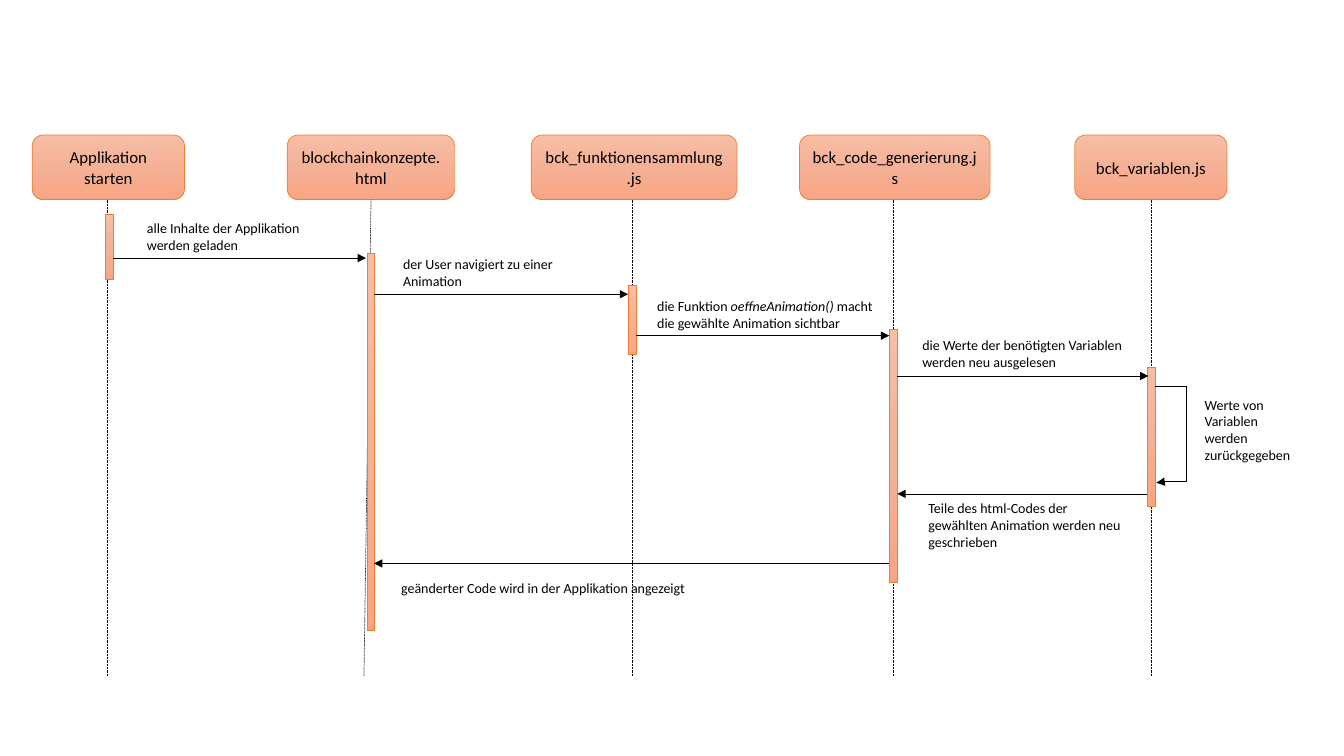
"""Build a sequence diagram slide showing how an animation is opened and updated."""
import copy

import lxml.etree
import pptx
import pptx.dml.color
import pptx.enum.dml
import pptx.enum.shapes
import pptx.enum.text
import pptx.oxml.ns
import pptx.util

PX = 9144
COLORS = {"top": "F7BDA5", "middle": "F5B196", "bottom": "F8A582",
          "border": "ED7D31", "ink": "000000"}
RGB = {name: pptx.dml.color.RGBColor.from_string(value) for name, value in COLORS.items()}
SHAPE = pptx.enum.shapes.MSO_SHAPE
CONNECTOR = pptx.enum.shapes.MSO_CONNECTOR
HEAD_TOP, HEAD_HEIGHT, LIFELINE_END = 134, 64, 671
qn = pptx.oxml.ns.qn

deck = pptx.Presentation()
deck.slide_width, deck.slide_height = 1333 * PX, 750 * PX
page = deck.slides.add_slide(deck.slide_layouts[6])


def add_gradient_box(kind, left, top, width, height):
    box = page.shapes.add_shape(kind, left * PX, top * PX, width * PX, height * PX)
    box.shadow.inherit = False
    box.line.color.rgb = RGB["border"]
    box.line.width = pptx.util.Pt(0.5)
    box.fill.gradient()
    box.fill.gradient_angle = 270
    stop_list = box.fill._xPr.find(qn("a:gradFill")).find(qn("a:gsLst"))
    stop_list.insert(1, copy.deepcopy(stop_list[0]))
    for stop, name, position in zip(box.fill.gradient_stops, ("top", "middle", "bottom"), (0, 0.5, 1)):
        stop.color.rgb = RGB[name]
        stop.position = position
    return box


def add_line(x1, y1, x2, y2, arrow=False, kind=CONNECTOR.STRAIGHT):
    line = page.shapes.add_connector(kind, x1 * PX, y1 * PX, x2 * PX, y2 * PX)
    line.line.color.rgb = RGB["ink"]
    line.line.width = pptx.util.Pt(0.5)
    properties = line._element.spPr
    if arrow:
        lxml.etree.SubElement(properties.find(qn("a:ln")), qn("a:tailEnd"), type="triangle")
    lxml.etree.SubElement(properties, qn("a:effectLst"))
    return line


# name, head left, head width, lifeline start x and end x, bar left, top, width, height
participants = [
    ("Applikation starten", 32, 151, 107, 107, 104, 213, 8, 64),
    ("blockchainkonzepte.html", 285, 166, 368, 361, 364, 251, 7, 374),
    ("bck_funktionensammlung.js", 527, 204, 627, 627, 623, 283, 8, 69),
    ("bck_code_generierung.js", 793, 189, 886, 886, 882, 327, 8, 251),
    ("bck_variablen.js", 1066, 151, 1142, 1142, 1138, 364, 8, 138),
]
for name, left, width, start_x, end_x, *bar in participants:
    head = add_gradient_box(SHAPE.ROUNDED_RECTANGLE, left, HEAD_TOP, width, HEAD_HEIGHT)
    head.text_frame.word_wrap = True
    head.text_frame.vertical_anchor = pptx.enum.text.MSO_ANCHOR.MIDDLE
    para = head.text_frame.paragraphs[0]
    para.text = name
    para.alignment = pptx.enum.text.PP_ALIGN.CENTER
    font = para.runs[0].font
    font.name, font.size = "Calibri", pptx.util.Pt(12)
    font.color.rgb = RGB["ink"]
    lifeline = add_line(start_x, HEAD_TOP + HEAD_HEIGHT, end_x, LIFELINE_END)
    lifeline.line.dash_style = pptx.enum.dml.MSO_LINE.ROUND_DOT
    add_gradient_box(SHAPE.RECTANGLE, *bar)

messages = [
    (112, 363, 256), (371, 623, 292), (631, 882, 333),
    (890, 1139, 373), (1138, 890, 490), (882, 371, 559),
]
for from_x, to_x, y in messages:
    add_line(from_x, y, to_x, y, arrow=True)

add_line(1146, 383, 1177, 383)
return_arrow = add_line(1114, 416, 1210, 446, arrow=True, kind=CONNECTOR.ELBOW)
return_arrow._element.spPr.find(qn("a:xfrm")).set("rot", "5400000")
adjustments = return_arrow._element.spPr.find(qn("a:prstGeom")).find(qn("a:avLst"))
lxml.etree.SubElement(adjustments, qn("a:gd"), name="adj1", fmla="val 99000")

captions = [
    (136, 213, 226, 44, ["alle Inhalte der Applikation ", "\n", "werden geladen"]),
    (390, 249, 226, 44, ["der User navigiert zu einer Animation"]),
    (642, 290, 236, 44, ["die Funktion ", "oeffneAnimation()", " macht die gewählte Animation sichtbar"]),
    (905, 329, 221, 44, ["die Werte der benötigten Variablen werden neu ausgelesen"]),
    (1185, 388, 116, 77, ["Werte von Variablen werden zurückgegeben"]),
    (911, 491, 219, 61, ["Teile des html-Codes der gewählten Animation werden neu geschrieben"]),
    (388, 570, 332, 27, ["geänderter Code wird in der Applikation angezeigt"]),
]
for left, top, width, height, parts in captions:
    box = page.shapes.add_textbox(left * PX, top * PX, width * PX, height * PX)
    box.text_frame.word_wrap = True
    box.text_frame.auto_size = pptx.enum.text.MSO_AUTO_SIZE.SHAPE_TO_FIT_TEXT
    para = box.text_frame.paragraphs[0]
    para.font.size = pptx.util.Pt(10)
    for part in parts:
        if part == "\n":
            para.add_line_break()
            continue
        span = para.add_run()
        span.text = part
        span.font.name, span.font.size = "Calibri", pptx.util.Pt(10)
        span.font.italic = part.endswith("()")
        span.font.color.rgb = RGB["ink"]

deck.save("out.pptx")
